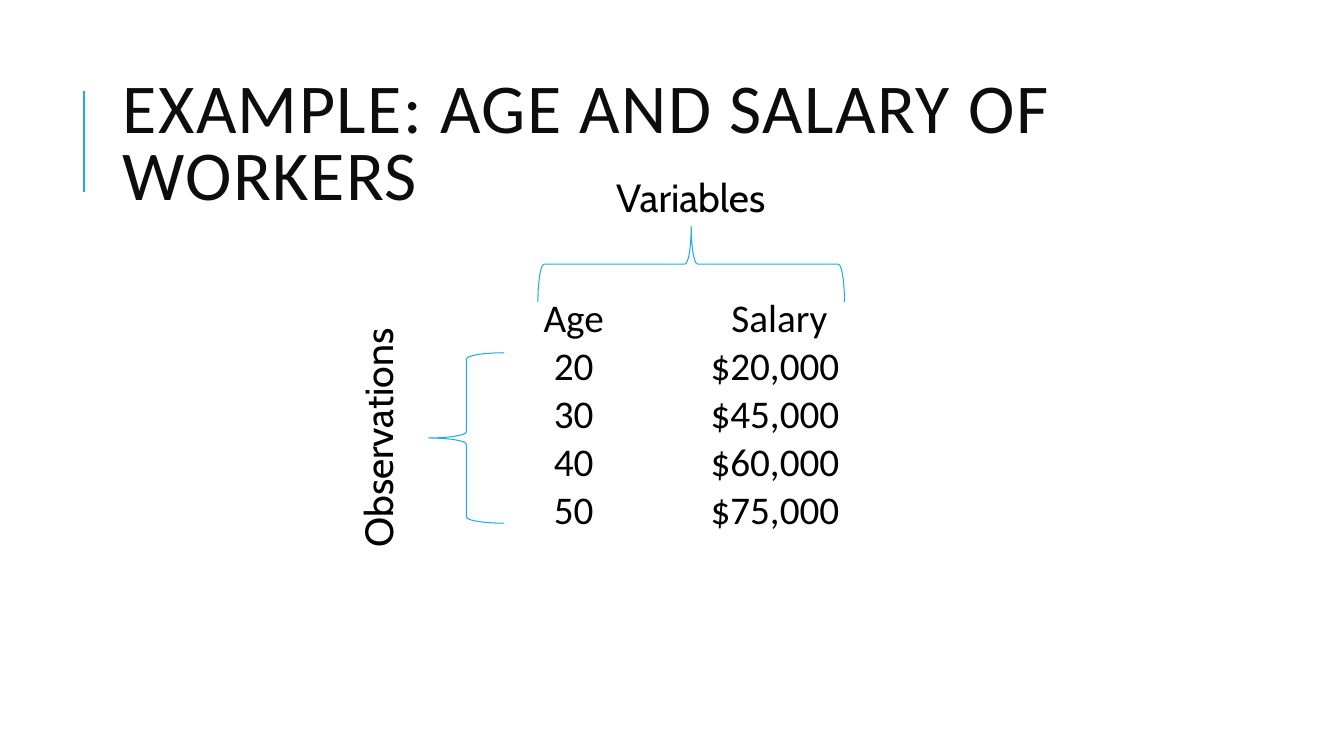
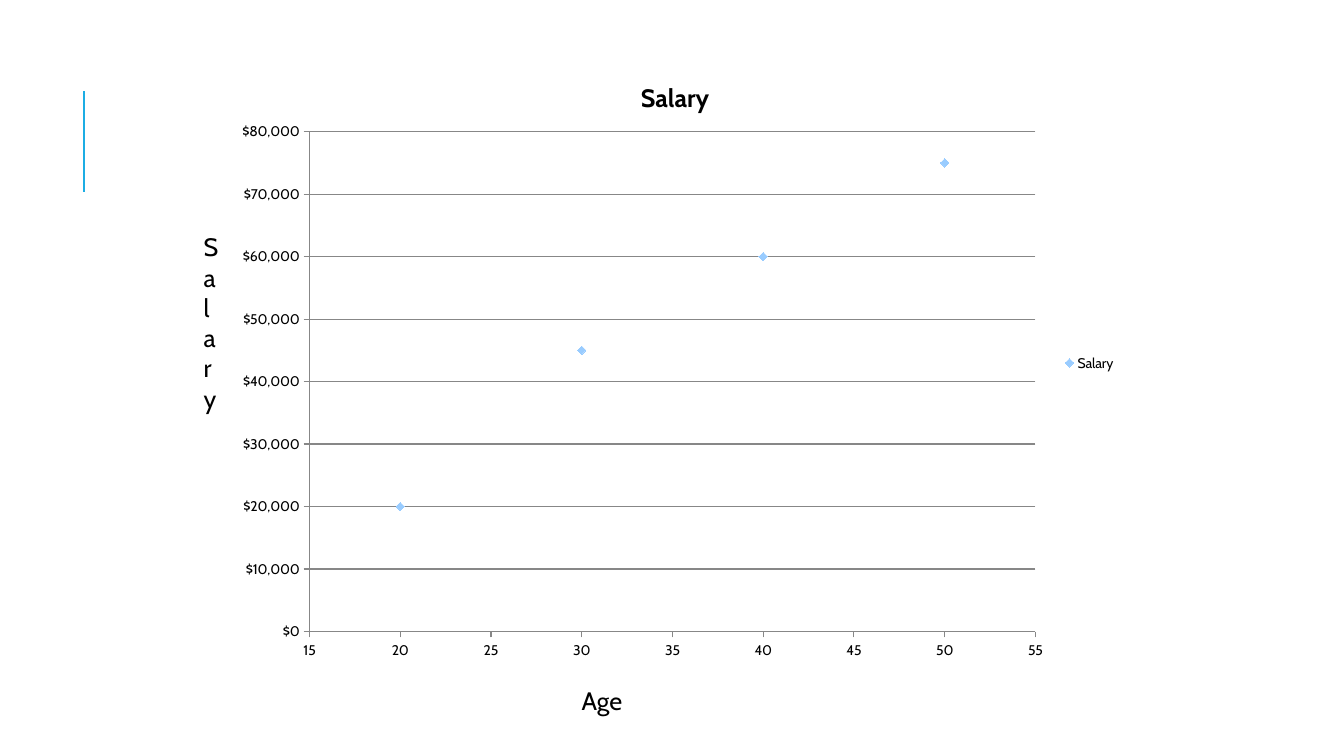
from lxml.etree import SubElement
from pptx import Presentation
from pptx.chart.data import XyChartData
from pptx.dml.color import RGBColor
from pptx.enum.chart import XL_CHART_TYPE as ChartType, XL_LEGEND_POSITION as LegendPosition
from pptx.enum.chart import XL_MARKER_STYLE as MarkerStyle, XL_TICK_MARK as TickMark
from pptx.enum.shapes import MSO_CONNECTOR as Connector, MSO_SHAPE as Shape
from pptx.enum.text import MSO_ANCHOR as Anchor, PP_ALIGN as Align
from pptx.oxml.ns import qn
from pptx.util import Emu, Pt

PX = 9144
ACCENT, MARKER, GRID = "1CADE4", "99CCFF", "878787"
BLACK, TITLE_COLOR = "000000", "0D0D0D"
BODY_FONT, HEADING_FONT = "Cabin", "Calibri"

TITLE = "EXAMPLE: AGE AND SALARY OF WORKERS"
HEADERS = ("Age", "Salary")
WORKERS = [(20, 20000), (30, 45000), (40, 60000), (50, 75000)]
COLUMN_WIDTH, ROW_HEIGHT = 204, 42
TABLE_LABELS = [("Variables", (577, 167, 216, 57), 0), ("Observations", (254, 406, 241, 57), 270)]
BRACES = [((648, 110, 75, 304), 90), ((425, 350, 75, 169), 0)]
CHART_BOX = (217, 50, 900, 620)
AXIS_LABELS = [("Age", (567, 675, 200, 40)), ("Salary", (192, 225, 25, 192))]
PLOT_LAYOUT = {"layoutTarget": "inner", "xMode": "edge", "yMode": "edge",
               "x": 0.1, "y": 0.13, "w": 0.8, "h": 0.8}
TITLE_LAYOUT = {"xMode": "edge", "yMode": "edge", "x": 0.46, "y": 0.04}


def px(*lengths):
    return [Emu(length * PX) for length in lengths]


def color(value):
    return RGBColor.from_string(value)


def style_font(font, size, name=BODY_FONT, fill=BLACK, bold=False):
    font.size, font.name, font.bold = Pt(size), name, bold
    font.color.rgb = color(fill)


def write(frame, text, size, name=BODY_FONT, fill=BLACK, align=Align.LEFT,
          anchor=Anchor.TOP, line_spacing=None, tracking=0):
    frame.word_wrap = True
    frame.vertical_anchor = anchor
    paragraph = frame.paragraphs[0]
    paragraph.alignment = align
    paragraph.line_spacing = line_spacing
    run = paragraph.add_run()
    run.text = text
    style_font(run.font, size, name, fill)
    if tracking:
        run.font._element.set("spc", str(tracking * 100))


def add_text(slide, text, box, size, rotation=0, **text_format):
    shape = slide.shapes.add_textbox(*px(*box))
    shape.rotation = rotation
    write(shape.text_frame, text, size, **text_format)


def add_slide(presentation):
    slide = presentation.slides.add_slide(presentation.slide_layouts[6])
    rule = slide.shapes.add_connector(Connector.STRAIGHT, *px(83, 190, 83, 90))
    rule.line.color.rgb = color(ACCENT)
    rule.line.width = Pt(1.5)
    SubElement(rule._element.spPr, qn("a:effectLst"))
    return slide


def add_brace(slide, box, rotation):
    brace = slide.shapes.add_shape(Shape.LEFT_BRACE, *px(*box))
    brace.rotation = rotation
    brace.shadow.inherit = False
    brace.fill.background()
    brace.line.color.rgb = color(ACCENT)
    brace.line.width = Pt(0.75)


def add_worker_table(slide):
    rows = [HEADERS] + [(str(age), f"${salary:,} ") for age, salary in WORKERS]
    size = (COLUMN_WIDTH * len(HEADERS), ROW_HEIGHT * len(rows))
    table = slide.shapes.add_table(len(rows), len(HEADERS), *px(467, 292, *size)).table
    table.first_row = table.horz_banding = False
    for row, texts in enumerate(rows):
        for column, text in enumerate(texts):
            cell = table.cell(row, column)
            cell.fill.background()
            cell.margin_left, cell.margin_top, cell.margin_right, cell.margin_bottom = px(1, 1, 1, 0)
            write(cell.text_frame, text, 28, name=HEADING_FONT, align=Align.CENTER)
            cell.vertical_anchor = Anchor.BOTTOM


def set_layout(parent, values):
    layout = parent.find(qn("c:layout"))
    if layout is None:
        layout = SubElement(parent, qn("c:layout"))
        parent.remove(layout)
        parent.insert(1 if parent.find(qn("c:tx")) is not None else 0, layout)
    manual = SubElement(layout, qn("c:manualLayout"))
    for key, value in values.items():
        SubElement(manual, qn(f"c:{key}")).set("val", str(value))


def style_axis(axis, low, high, step, number_format, gridlines):
    axis.minimum_scale, axis.maximum_scale, axis.major_unit = low, high, step
    axis.has_major_gridlines = gridlines
    axis.major_tick_mark, axis.minor_tick_mark = TickMark.OUTSIDE, TickMark.NONE
    axis.tick_labels.number_format = number_format
    axis.tick_labels.number_format_is_linked = False
    lines = [axis.format.line]
    if gridlines:
        lines.append(axis.major_gridlines.format.line)
    for line in lines:
        line.color.rgb = color(GRID)
        line.width = Pt(0.75)


def add_salary_chart(slide):
    data = XyChartData()
    points = data.add_series("Salary")
    for age, salary in WORKERS:
        points.add_data_point(age, salary)
    chart = slide.shapes.add_chart(ChartType.XY_SCATTER, *px(*CHART_BOX), data).chart
    style_font(chart.font, 10)
    chart.has_title = True
    title_frame = chart.chart_title.text_frame
    title_frame.text = "Salary"
    style_font(title_frame.paragraphs[0].runs[0].font, 18, bold=True)
    chart.has_legend = True
    chart.legend.position = LegendPosition.RIGHT
    chart.legend.include_in_layout = False
    style_axis(chart.category_axis, 15, 55, 5, "General", False)
    style_axis(chart.value_axis, 0, 80000, 10000, '"$"#,##0', True)
    plot = chart.plots[0]
    plot.vary_by_categories = False
    series = plot.series[0]
    series.smooth = False
    series.format.line.fill.background()
    series.marker.style = MarkerStyle.DIAMOND
    series.marker.size = 6
    series.marker.format.fill.solid()
    series.marker.format.fill.fore_color.rgb = color(MARKER)
    series.marker.format.line.color.rgb = color(MARKER)
    set_layout(chart._chartSpace.chart.plotArea, PLOT_LAYOUT)
    set_layout(chart.chart_title._element, TITLE_LAYOUT)


def main():
    presentation = Presentation()
    presentation.slide_width, presentation.slide_height = px(1333, 750)

    table_slide = add_slide(presentation)
    add_text(table_slide, TITLE, (112, 64, 1063, 164), 50, name=HEADING_FONT,
             fill=TITLE_COLOR, anchor=Anchor.MIDDLE, line_spacing=0.8, tracking=1)
    add_worker_table(table_slide)
    for text, box, rotation in TABLE_LABELS:
        add_text(table_slide, text, box, 28, rotation, align=Align.CENTER)
    for box, rotation in BRACES:
        add_brace(table_slide, box, rotation)

    chart_slide = add_slide(presentation)
    add_salary_chart(chart_slide)
    for text, box in AXIS_LABELS:
        add_text(chart_slide, text, box, 18)

    presentation.save("out.pptx")


if __name__ == "__main__":
    main()
